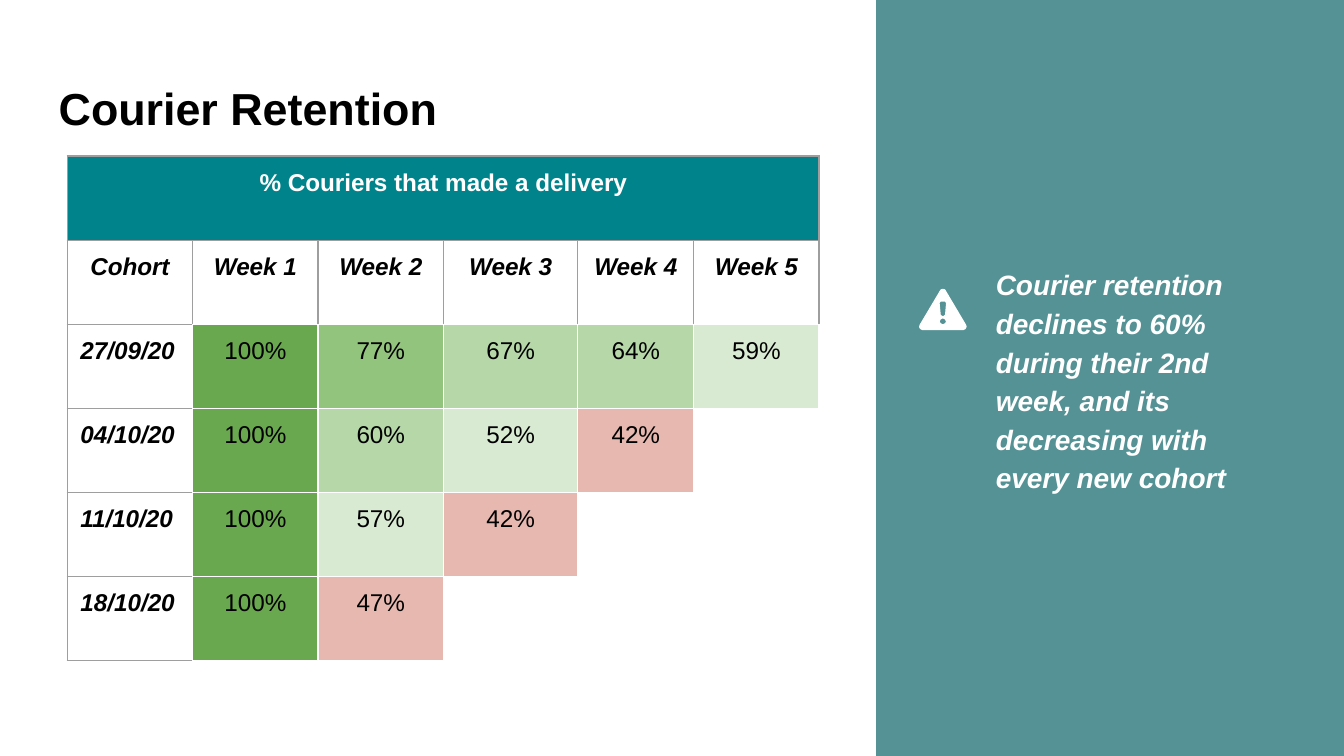
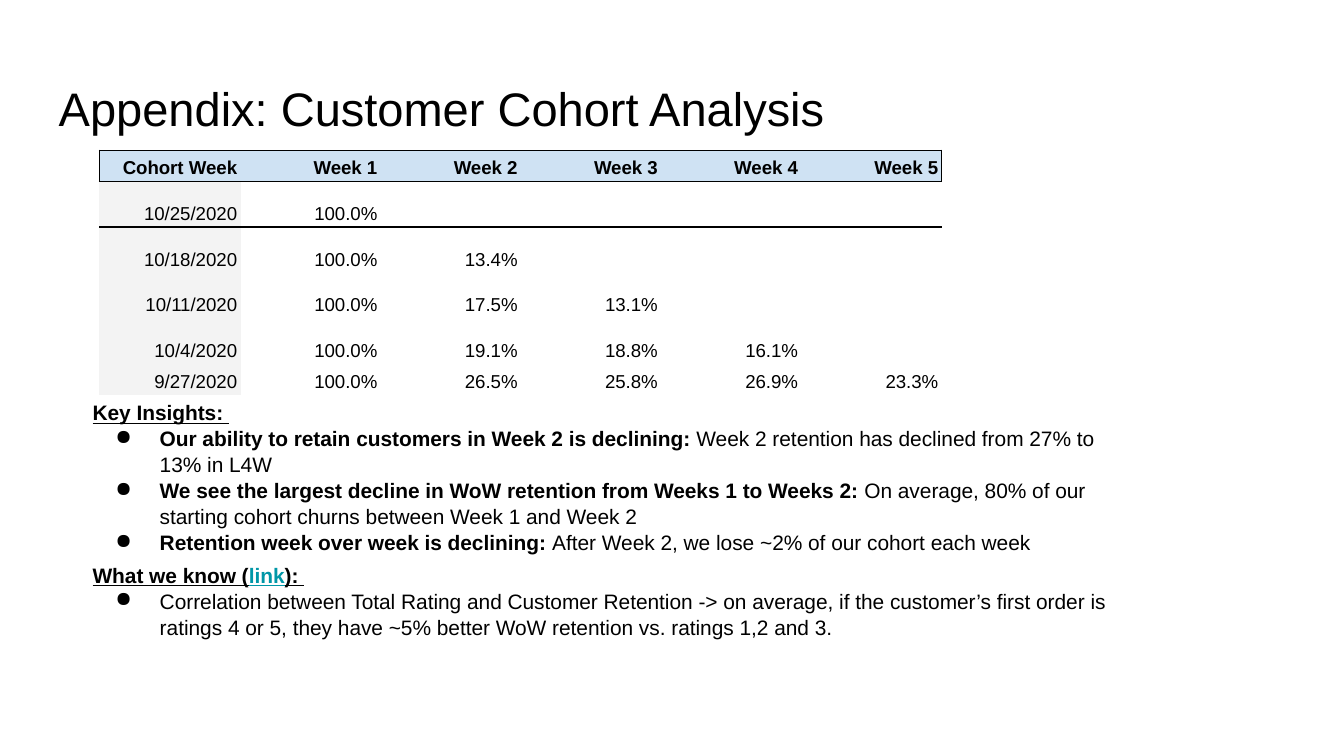
from lxml.etree import SubElement as Sub
from pptx import Presentation
from pptx.dml.color import RGBColor
from pptx.enum.shapes import MSO_SHAPE as Kind
from pptx.enum.text import MSO_ANCHOR as Anchor, PP_ALIGN as Align
from pptx.oxml.ns import qn
from pptx.util import Cm, Pt

FONT = "Arial"
BLACK, WHITE, GRAY = "000000", "FFFFFF", "9E9E9E"
TEAL, PANEL, LINK = "00838A", "559295", "0097A7"
SKY, PALE = "CFE2F3", "F3F3F3"
HEAT = [(100, "6AA84F"), (70, "93C47D"), (60, "B6D7A8"), (50, "D9EAD3"), (0, "E6B8AF")]
PLAIN = "{2D5ABB26-0587-4C30-8999-92F81FD0307C}"
WEEKS = [f"Week {n}" for n in range(1, 6)]


def tint(code):
    return RGBColor.from_string(code)


def shade(text):
    rate = int(text.rstrip("%"))
    return next(code for floor, code in HEAT if rate >= floor)


class Deck:
    def __init__(self):
        self.prs = Presentation()
        self.prs.slide_width, self.prs.slide_height = Cm(25.4), Cm(14.29)
        self.slide = None

    def page(self, title, **form):
        self.slide = self.prs.slides.add_slide(self.prs.slide_layouts[6])
        frame = self.box(0.86, 1.24, 23.67, 1.6)
        frame.vertical_anchor = Anchor.MIDDLE
        self.label(frame.paragraphs[0], title, **form)

    def label(self, para, text, color=BLACK, **form):
        run = para.add_run()
        run.text = text
        run.font.color.rgb = tint(color)
        form = {"name": FONT, **form, "size": Pt(form["size"])}
        for key, value in form.items():
            setattr(run.font, key, value)

    def box(self, *area):
        frame = self.slide.shapes.add_textbox(*map(Cm, area)).text_frame
        frame.word_wrap = True
        for side in ("left", "right", "top", "bottom"):
            setattr(frame, "margin_" + side, Cm(0.25))
        return frame

    def indent(self, para, left, first=0, dot=None):
        props = para._p.get_or_add_pPr()
        props.set("marL", str(Cm(left)))
        props.set("indent", str(Cm(first)))
        if dot:
            color = Sub(props, qn("a:buClr"))
            Sub(color, qn("a:srgbClr"), val=BLACK)
            Sub(props, qn("a:buChar"), char=dot)

    def paint(self, shape, color):
        shape.shadow.inherit = False
        shape.fill.solid()
        shape.fill.fore_color.rgb = tint(color)
        shape.line.fill.background()

    def panel(self, color, *area):
        self.paint(self.slide.shapes.add_shape(Kind.RECTANGLE, *map(Cm, area)), color)

    def icon(self, color, left, top, *loops):
        (start, *rest), *holes = loops
        pen = self.slide.shapes.build_freeform(*start, scale=Cm(0.01))
        pen.add_line_segments(rest)
        for first, *more in holes:
            pen.move_to(*first)
            pen.add_line_segments(more)
        self.paint(pen.convert_to_shape(Cm(left), Cm(top)), color)

    def table(self, left, top, cols, height, count):
        shapes = self.slide.shapes
        grid = shapes.add_table(count, len(cols), Cm(left), Cm(top),
                                Cm(sum(cols)), Cm(height * count)).table
        grid.first_row = grid.horz_banding = False
        grid._tbl.tblPr.find(qn("a:tableStyleId")).text = PLAIN
        for col, width in zip(grid.columns, cols):
            col.width = Cm(width)
        for row in grid.rows:
            row.height = Cm(height)
        return grid

    def cell(self, cell, text, align, pad, edges, fill=None, space=None, **form):
        for side, gap in zip(("left", "right", "top", "bottom"), pad):
            setattr(cell, "margin_" + side, Cm(gap))
        props = cell._tc.get_or_add_tcPr()
        for side in "LRTB":
            if side in edges:
                line = Sub(props, qn("a:ln" + side), w=str(Pt(0.75)))
                Sub(Sub(line, qn("a:solidFill")), qn("a:srgbClr"), val=edges[side])
        if fill:
            cell.fill.solid()
            cell.fill.fore_color.rgb = tint(fill)
        else:
            cell.fill.background()
        if text:
            para = cell.text_frame.paragraphs[0]
            para.alignment = align
            if space:
                para.line_spacing = space
            self.label(para, text, **form)

    def notes(self, top, head, *points):
        frame = self.box(1.5, top, 19.69, 1.6)
        para = frame.paragraphs[0]
        para.line_spacing = 1.04
        for text, color in head:
            self.label(para, text, color, size=11.2, bold=True, underline=True)
        for lead, text in points:
            para = frame.add_paragraph()
            para.line_spacing = 1.04
            self.indent(para, 1.27, -0.84, "●")
            if lead:
                self.label(para, lead, size=11.2, bold=True)
            self.label(para, text, size=11.2)


deck = Deck()
deck.page("Courier Retention", size=24, bold=True)
rates = [
    ["27/09/20", "100%", "77%", "67%", "64%", "59%"],
    ["04/10/20", "100%", "60%", "52%", "42%"],
    ["11/10/20", "100%", "57%", "42%"],
    ["18/10/20", "100%", "47%"],
]
grid = deck.table(1.27, 2.95, [2.37, 2.37, 2.37, 2.54, 2.19, 2.37], 1.59, 6)
pad = [0.25] * 4
frame = dict.fromkeys("LRTB", GRAY)
blank = dict.fromkeys("LRTB", WHITE)
grid.cell(0, 0).merge(grid.cell(0, 5))
for col, name in enumerate(["Cohort"] + WEEKS):
    text = "" if col else "% Couriers that made a delivery"
    deck.cell(grid.cell(0, col), text, Align.CENTER, pad, frame, TEAL,
              color=WHITE, size=13, bold=True)
    edges = {**frame, "B": WHITE} if col else frame
    deck.cell(grid.cell(1, col), name, Align.CENTER, pad, edges,
              size=13, bold=True, italic=True)
for row, (date, *vals) in enumerate(rates, 2):
    deck.cell(grid.cell(row, 0), date, Align.LEFT, pad, {**frame, "R": WHITE},
              size=13, bold=True, italic=True)
    for col in range(1, 6):
        text = vals[col - 1] if col <= len(vals) else ""
        deck.cell(grid.cell(row, col), text, Align.CENTER, pad, blank,
                  shade(text) if text else None, size=13)

deck.panel(PANEL, 16.56, 0, 8.84, 14.29)
para = deck.box(17.3, 4.72, 7.24, 4.85).paragraphs[0]
para.line_spacing, para.space_after = 1.15, Pt(12)
deck.indent(para, 1.27)
deck.label(para, "Courier retention declines to 60% during their 2nd week, "
           "and its decreasing with every new cohort",
           WHITE, size=15, bold=True, italic=True)
deck.icon(
    WHITE, 17.37, 5.46,
    [(45, 0), (41, 1), (39, 4), (1, 68), (0, 72), (2, 76), (6, 78),
     (84, 78), (88, 76), (90, 72), (89, 68), (51, 4), (49, 1), (45, 0)],
    [(41, 24), (49, 24), (51, 27), (49, 49), (47, 51), (43, 51),
     (41, 49), (39, 27), (41, 24)],
    [(45, 56), (49, 58), (51, 62), (49, 65), (45, 67), (41, 65),
     (39, 62), (41, 58), (45, 56)],
)

deck.page("Appendix: Customer Cohort Analysis", size=25.2)
rates = [
    ["Cohort Week"] + WEEKS,
    ["10/25/2020", "100.0%"],
    ["10/18/2020", "100.0%", "13.4%"],
    ["10/11/2020", "100.0%", "17.5%", "13.1%"],
    ["10/4/2020", "100.0%", "19.1%", "18.8%", "16.1%"],
    ["9/27/2020", "100.0%", "26.5%", "25.8%", "26.9%", "23.3%"],
]
grid = deck.table(1.88, 2.84, [2.67] + [2.65] * 5, 0.57, 6)
pad = [0.07, 0.07, 0.05, 0.05]
for row, vals in enumerate(rates):
    for col in range(6):
        sides = "TB" if row < 2 else ""
        if row == 0:
            sides += {0: "L", 5: "R"}.get(col, "")
        fill = SKY if row == 0 else PALE if col == 0 else None
        cell = grid.cell(row, col)
        cell.vertical_anchor = Anchor.BOTTOM
        deck.cell(cell, vals[col] if col < len(vals) else "", Align.RIGHT, pad,
                  dict.fromkeys(sides, BLACK), fill, 1.15, size=10, bold=row == 0)

deck.notes(
    7.29, [("Key Insights: ", BLACK)],
    ("Our ability to retain customers in Week 2 is declining: ",
     "Week 2 retention has declined from 27% to 13% in L4W"),
    ("We see the largest decline in WoW retention from Weeks 1 to Weeks 2: ",
     "On average, 80% of our starting cohort churns between Week 1 and Week 2"),
    ("Retention week over week is declining: ",
     "After Week 2, we lose ~2% of our cohort each week"),
)
deck.notes(
    10.36, [("What we know (", BLACK), ("link", LINK), ("): ", BLACK)],
    ("", "Correlation between Total Rating and Customer Retention -> on average, "
     "if the customer’s first order is ratings 4 or 5, they have ~5% better "
     "WoW retention vs. ratings 1,2 and 3. "),
)
deck.prs.save("out.pptx")
